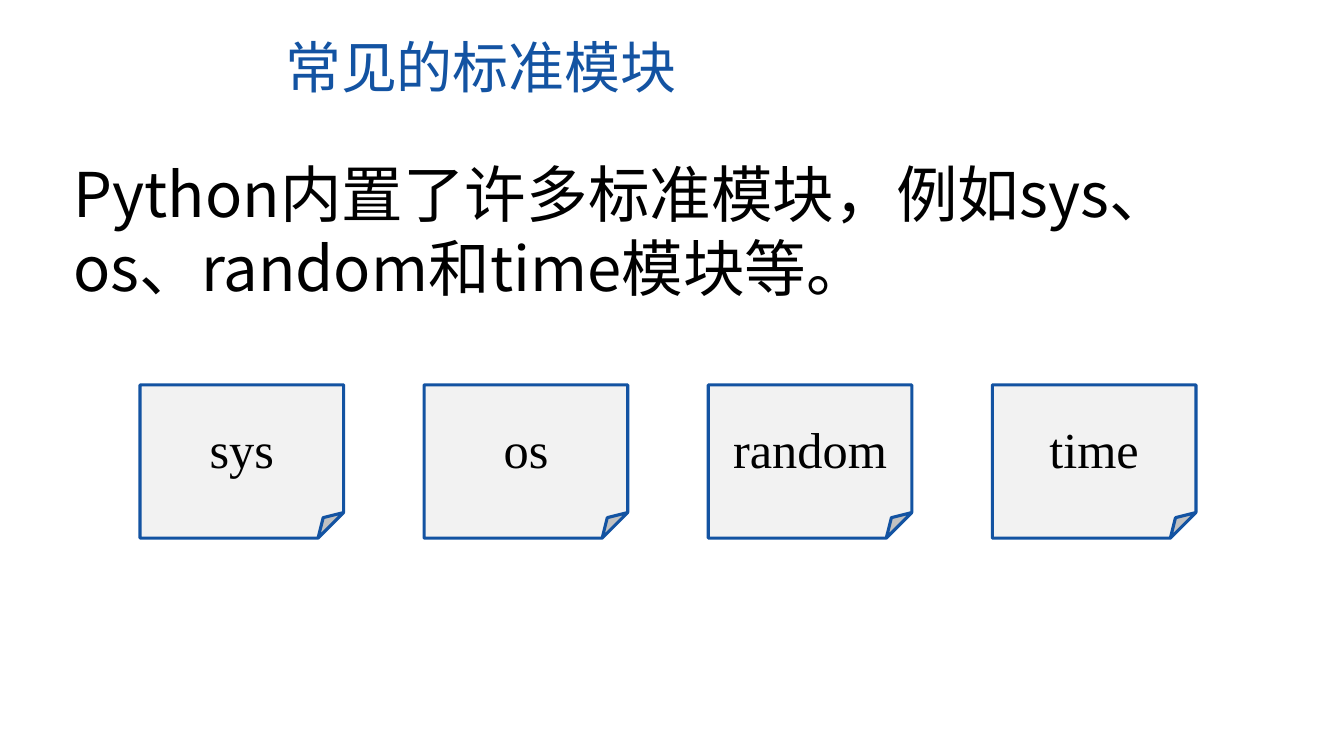
from dataclasses import dataclass

from lxml import etree
from pptx import Presentation
from pptx import util as u
from pptx.dml import color
from pptx.enum import shapes, text
from pptx.oxml import ns

COLORS = {"blue": "1353A2", "black": "000000", "card": "F2F2F2"}
SANS = "Noto Sans CJK SC"
SERIF = "Times New Roman"


@dataclass(frozen=True)
class Area:
    left: float
    top: float
    width: float
    height: float


TITLE = Area(6.93, 0.74, 14.94, 1.96)
INTRO = Area(1.6, 3.66, 31.22, 4.57)
FIRST_CARD = Area(3.53, 9.7, 5.13, 3.86)
CARD_STEP = 7.16
MODULES = ("sys", "os", "random", "time")


def rgb(name: str) -> color.RGBColor:
    return color.RGBColor.from_string(COLORS[name])


def place(shape, area: Area) -> None:
    shape.left, shape.top = u.Cm(area.left), u.Cm(area.top)
    shape.width, shape.height = u.Cm(area.width), u.Cm(area.height)


def write(shape, words: str, *, size: float, font: str, ink: str = "black",
          align=text.PP_ALIGN.LEFT, anchor=text.MSO_ANCHOR.TOP,
          top: float = 0.13, bottom: float = 0.13) -> None:
    frame = shape.text_frame
    frame.word_wrap = True
    frame.auto_size = text.MSO_AUTO_SIZE.NONE
    frame.vertical_anchor = anchor
    frame.margin_top, frame.margin_bottom = u.Cm(top), u.Cm(bottom)
    para = frame.paragraphs[0]
    para.alignment = align
    para.line_spacing = 1.0
    para.space_before = u.Pt(0)
    span = para.add_run()
    span.text = words
    span.font.size = u.Pt(size)
    span.font.name = font
    span.font.bold = False
    span.font.color.rgb = rgb(ink)
    east_asian = etree.SubElement(span.font._element, ns.qn("a:ea"))
    east_asian.set("typeface", font)


def add_card(slide, area: Area, module: str) -> None:
    card = slide.shapes.add_shape(
        shapes.MSO_SHAPE.FOLDED_CORNER, u.Cm(area.left), u.Cm(area.top),
        u.Cm(area.width), u.Cm(area.height))
    card.shadow.inherit = False
    card.fill.solid()
    card.fill.fore_color.rgb = rgb("card")
    card.line.color.rgb = rgb("blue")
    card.line.width = u.Pt(2.25)
    write(card, module, size=36, font=SERIF,
          align=text.PP_ALIGN.CENTER, anchor=text.MSO_ANCHOR.MIDDLE)


def build() -> None:
    deck = Presentation()
    deck.slide_width, deck.slide_height = u.Cm(33.87), u.Cm(19.05)
    slide = deck.slides.add_slide(deck.slide_layouts[5])

    title = slide.shapes.title
    place(title, TITLE)
    write(title, "常见的标准模块", size=40, font=SANS, ink="blue",
          anchor=text.MSO_ANCHOR.MIDDLE, top=0, bottom=0.1)

    intro = slide.shapes.add_textbox(0, 0, 0, 0)
    place(intro, INTRO)
    write(intro, "Python内置了许多标准模块，例如sys、os、random和time模块等。",
          size=44, font=SANS, top=0.28)

    for index, module in enumerate(MODULES):
        area = Area(FIRST_CARD.left + index * CARD_STEP, FIRST_CARD.top,
                    FIRST_CARD.width, FIRST_CARD.height)
        add_card(slide, area, module)

    deck.save("out.pptx")


build()
